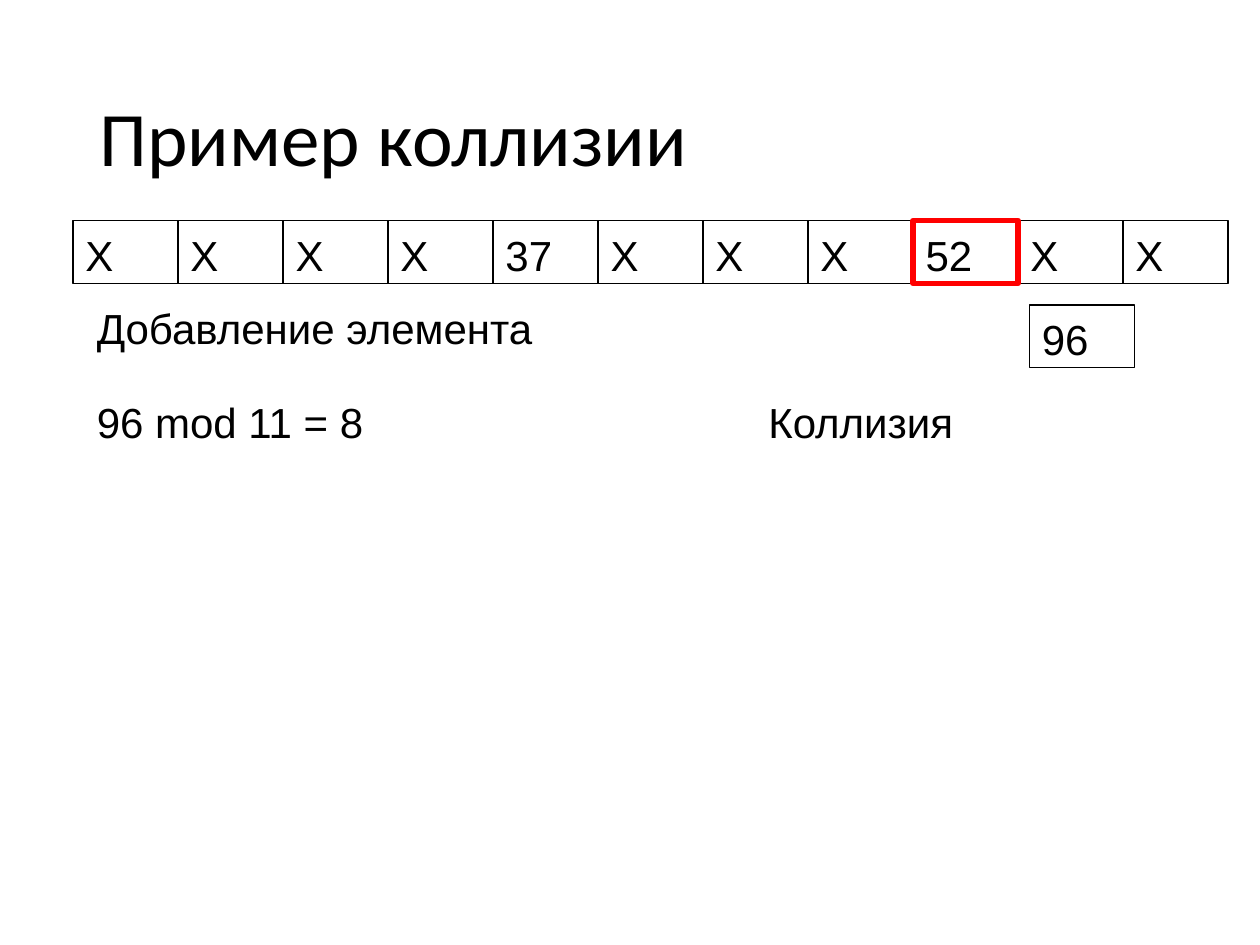
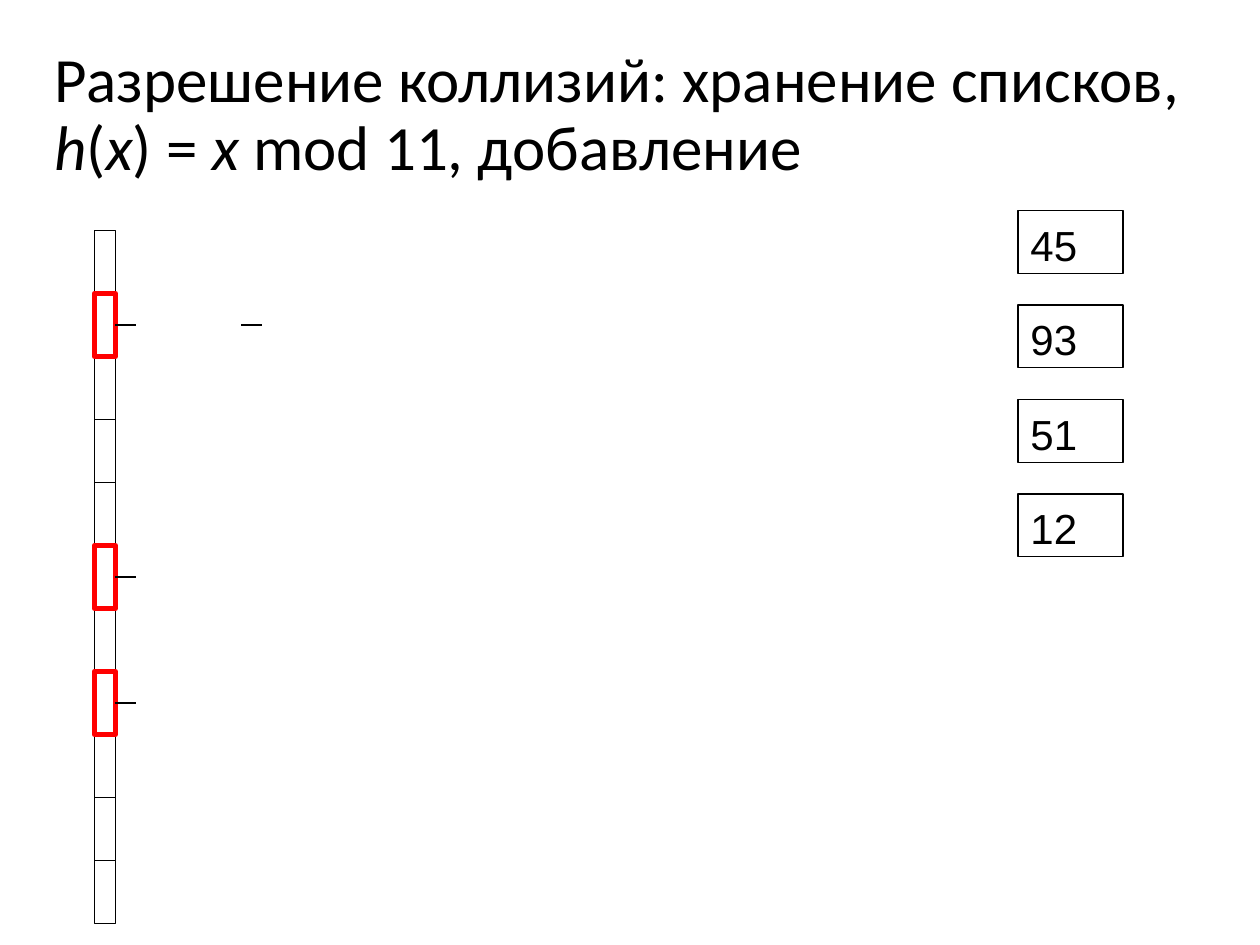
from lxml.etree import SubElement
from pptx import Presentation
from pptx.dml.color import RGBColor
from pptx.enum.shapes import MSO_CONNECTOR, MSO_SHAPE
from pptx.enum.text import MSO_ANCHOR, MSO_AUTO_SIZE, PP_ALIGN
from pptx.oxml.ns import qn
from pptx.util import Inches, Pt

BLACK, RED = "000000", "FF0000"
TITLE_FONT, BODY_FONT = "Calibri", "Arial"
TABLE_SIZE = 11  # h(x) = x mod 11
CELL_WIDTH, CELL_HEIGHT = 5 / 6, 0.5
SLOT_WIDTH = 1 / 6


def color(hex_code):
    return RGBColor.from_string(hex_code)


def bucket(key):
    return key % TABLE_SIZE


def style_run(run, font, size, italic=False):
    run.font.name = font
    run.font.size = Pt(size)
    run.font.italic = italic
    run.font.color.rgb = color(BLACK)


def add_titled_slide(prs, parts, size, left, top, width, height):
    """Title parts are (text, italic) pairs."""
    slide = prs.slides.add_slide(prs.slide_layouts[5])
    title = slide.shapes.title
    title.left, title.top = Inches(left), Inches(top)
    title.width, title.height = Inches(width), Inches(height)
    frame = title.text_frame
    frame.auto_size = MSO_AUTO_SIZE.NONE
    frame.vertical_anchor = MSO_ANCHOR.MIDDLE
    line = frame.paragraphs[0]
    line.alignment = PP_ALIGN.LEFT
    line.line_spacing = 0.9
    for text, italic in parts:
        run = line.add_run()
        run.text = text
        style_run(run, TITLE_FONT, size, italic)
    return slide


def write_body(frame, text):
    frame.text = text
    frame.margin_top = Inches(0.07)
    frame.vertical_anchor = MSO_ANCHOR.TOP
    frame.paragraphs[0].alignment = PP_ALIGN.LEFT
    style_run(frame.paragraphs[0].runs[0], BODY_FONT, 24)


def add_cell(shapes, left, top, width=CELL_WIDTH, text="", outline=BLACK, weight=0.75):
    cell = shapes.add_shape(MSO_SHAPE.RECTANGLE, Inches(left), Inches(top),
                            Inches(width), Inches(CELL_HEIGHT))
    cell.shadow.inherit = False
    cell.fill.background()
    cell.line.color.rgb = color(outline)
    cell.line.width = Pt(weight)
    if text:
        write_body(cell.text_frame, text)


def add_highlight(shapes, left, top, width):
    add_cell(shapes, left, top, width, outline=RED, weight=3)


def add_label(slide, text, left, top, width):
    label = slide.shapes.add_textbox(Inches(left), Inches(top), Inches(width), Inches(0.5))
    label.text_frame.word_wrap = True
    write_body(label.text_frame, text)


def add_link(slide, left, y):
    link = slide.shapes.add_connector(MSO_CONNECTOR.STRAIGHT, Inches(left), Inches(y),
                                      Inches(left + SLOT_WIDTH), Inches(y))
    link.line.color.rgb = color(BLACK)
    link.line.width = Pt(0.75)
    SubElement(link._element.spPr, qn("a:effectLst"))


def build_collision_example(prs):
    slide = add_titled_slide(prs, [("Пример коллизии", False)], 44, 0.69, 0.4, 8.62, 1.45)

    # Hash table with two stored keys
    table_left, table_top = 0.58, 1.75
    stored = {bucket(key): str(key) for key in (37, 52)}
    table = slide.shapes.add_group_shape()
    for index in range(TABLE_SIZE):
        add_cell(table.shapes, table_left + index * CELL_WIDTH, table_top,
                 text=stored.get(index, "X"))

    # New key and the bucket it collides with
    new_key = 96
    add_cell(slide.shapes, 8.17, 2.42, text=str(new_key))
    add_label(slide, "Добавление элемента", 0.67, 2.33, 3.83)
    add_label(slide, f"{new_key} mod {TABLE_SIZE} = {bucket(new_key)}", 0.67, 3.08, 3.83)
    add_highlight(slide.shapes, table_left + bucket(new_key) * CELL_WIDTH, table_top, CELL_WIDTH)
    add_label(slide, "Коллизия", 6, 3.08, 3.33)


def build_chaining(prs):
    title = [("Разрешение коллизий: хранение списков, ", False), ("h", True), ("(", False),
             ("x", True), (") = ", False), ("x ", True), ("mod 11, добавление", False)]
    slide = add_titled_slide(prs, title, 36, 0.33, 0.3, 9.33, 1.25)

    # Column of list heads
    heads_left, heads_top = 0.75, 1.83
    heads = slide.shapes.add_group_shape()
    for index in range(TABLE_SIZE):
        add_cell(heads.shapes, heads_left, heads_top + index * CELL_HEIGHT, SLOT_WIDTH)

    # Keys to add; each marks its bucket and extends that bucket's list
    chain_lengths = {}
    for order, key in enumerate((45, 93, 51, 12)):
        add_cell(slide.shapes, 8.08, 1.67 + order * 0.75, text=str(key))
        index = bucket(key)
        slot_top = heads_top + index * CELL_HEIGHT
        depth = chain_lengths.get(index, 0)
        if depth == 0:
            add_highlight(slide.shapes, heads_left, slot_top, SLOT_WIDTH)
        link_left = heads_left + SLOT_WIDTH + depth * (CELL_WIDTH + SLOT_WIDTH)
        add_link(slide, link_left, slot_top + CELL_HEIGHT / 2)
        chain_lengths[index] = depth + 1


def main():
    prs = Presentation()
    prs.slide_width, prs.slide_height = Inches(10), Inches(7.5)
    build_collision_example(prs)
    build_chaining(prs)
    prs.save("out.pptx")


if __name__ == "__main__":
    main()
